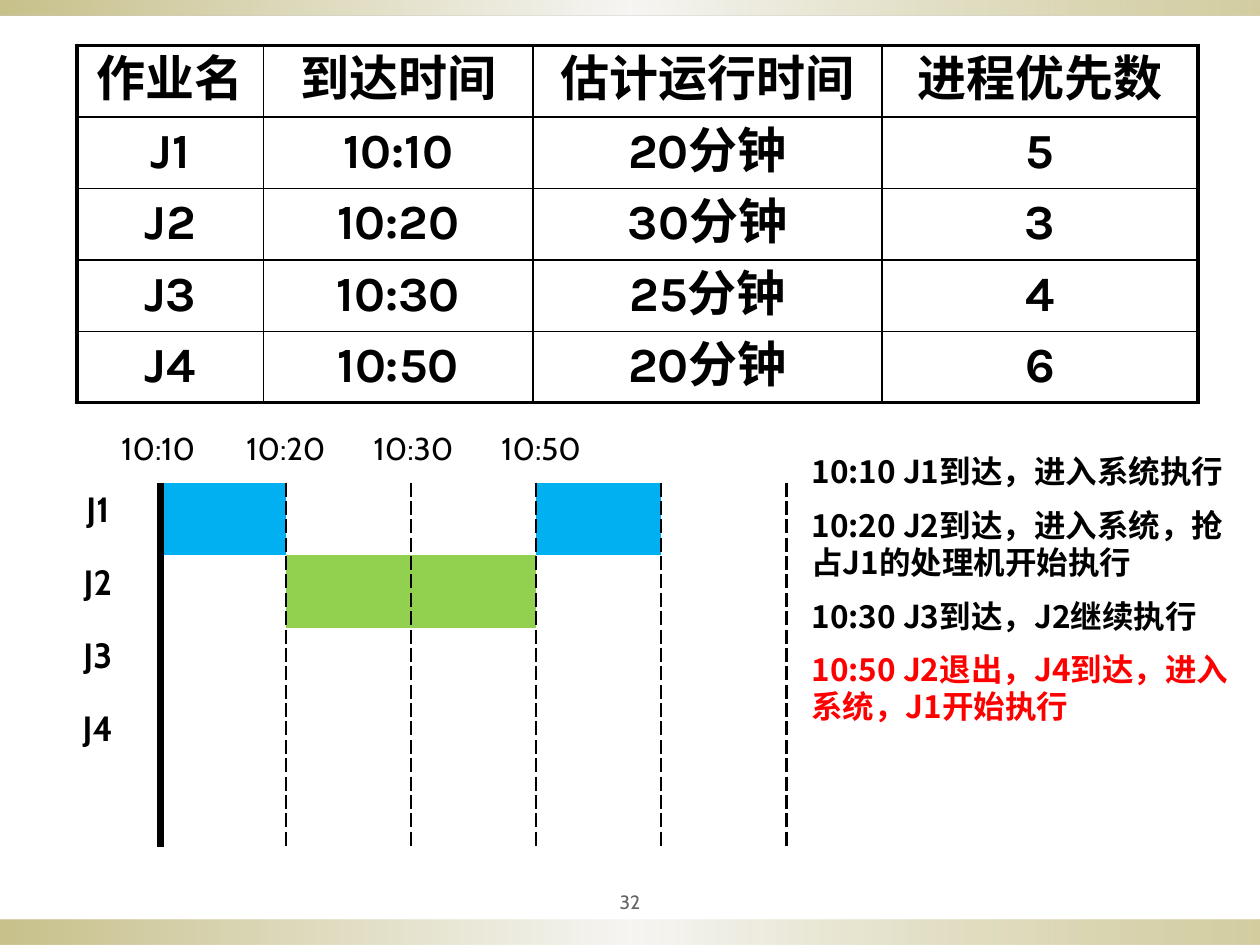
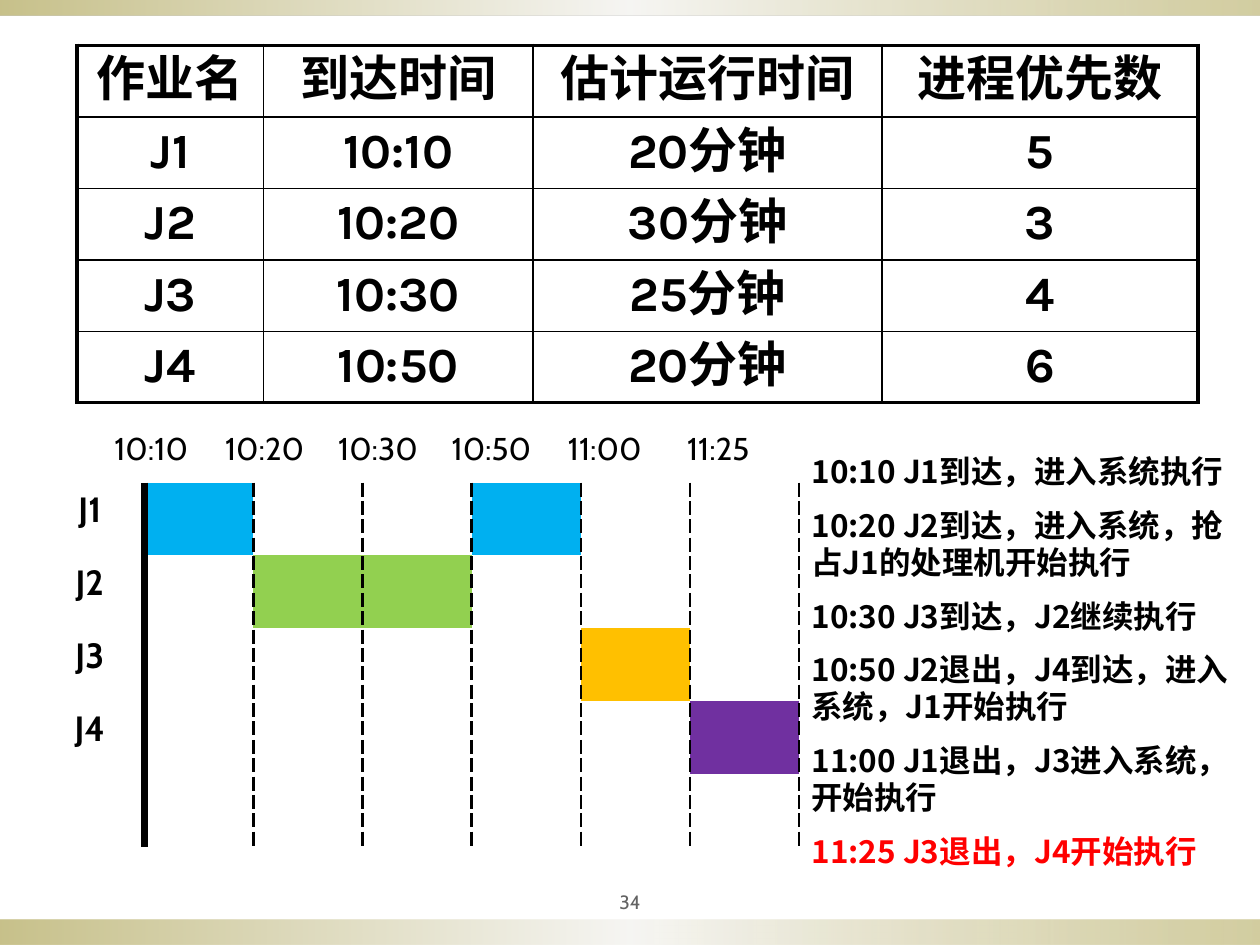
from lxml import etree
from pptx import Presentation
from pptx.dml.color import RGBColor
from pptx.enum.shapes import MSO_SHAPE
from pptx.enum.text import MSO_ANCHOR, PP_ALIGN
from pptx.oxml import parse_xml
from pptx.oxml.ns import nsdecls, qn
from pptx.util import Inches, Pt

BLACK = RGBColor(0x00, 0x00, 0x00)
RED = RGBColor(0xFF, 0x00, 0x00)
GREY = RGBColor(0x63, 0x63, 0x63)
OLIVE = RGBColor(0x91, 0x84, 0x15)
PALE = RGBColor(0xEE, 0xED, 0xE8)
BLUE = RGBColor(0x00, 0xB0, 0xF0)
GREEN = RGBColor(0x92, 0xD0, 0x50)
AMBER = RGBColor(0xFF, 0xC0, 0x00)
PURPLE = RGBColor(0x70, 0x30, 0xA0)

LABEL_FONT, TABLE_FONT, NOTE_FONT = "Cabin", "Karla", "Noto Sans CJK SC"
COLS, ROWS = 100, 75
PLAIN_STYLE = "{2D5ABB26-0587-4C30-8999-92F81FD0307C}"
BAND_STOPS = [(0, OLIVE, 50), (50, PALE, 50), (100, OLIVE, 40)]

JOBS = [
    ["作业名", "到达时间", "估计运行时间", "进程优先数"],
    ["J1", "10:10", "20分钟", "5"],
    ["J2", "10:20", "30分钟", "3"],
    ["J3", "10:30", "25分钟", "4"],
    ["J4", "10:50", "20分钟", "6"],
]
JOB_WIDTHS = [14.8, 21.4, 27.7, 25.1]
NAMES = [row[0] for row in JOBS[1:]]
TIMES = ["10:10", "10:20", "10:30", "10:50", "11:00", "11:25"]
EVENTS = [
    "10:10 J1到达，进入系统执行",
    "10:20 J2到达，进入系统，抢占J1的处理机开始执行",
    "10:30 J3到达，J2继续执行",
    "10:50 J2退出，J4到达，进入系统，J1开始执行",
    "11:00 J1退出，J3进入系统，开始执行",
    "11:25 J3退出，J4开始执行",
]
RUNS = [(0, 1, BLUE), (1, 2, GREEN), (1, 3, GREEN), (0, 4, BLUE),
        (2, 5, AMBER), (3, 6, PURPLE)]


class Deck:
    def __init__(self):
        self.prs = Presentation()
        self.prs.slide_width, self.prs.slide_height = Inches(10), Inches(7.5)
        self.slide = None

    def x(self, cols):
        return int(self.prs.slide_width * cols / COLS)

    def y(self, rows):
        return int(self.prs.slide_height * rows / ROWS)

    def box(self, left, top, width, height):
        return self.x(left), self.y(top), self.x(width), self.y(height)

    def new_slide(self, number):
        self.slide = self.prs.slides.add_slide(self.prs.slide_layouts[1])
        title = self.slide.shapes.title._element
        title.getparent().remove(title)
        self.band(73, 2)
        self.band(0, 1.2)
        self.page_number(number)

    def band(self, top, height):
        sp = self.slide.shapes.add_shape(MSO_SHAPE.RECTANGLE, *self.box(0, top, COLS, height))
        sp.shadow.inherit = False
        sp.line.fill.background()
        sp.fill.gradient()
        sp.fill.gradient_angle = 0
        stops = sp._element.spPr.find(qn("a:gradFill")).find(qn("a:gsLst"))
        for stop in list(stops):
            stops.remove(stop)
        for pos, color, alpha in BAND_STOPS:
            stops.append(parse_xml(
                f'<a:gs {nsdecls("a")} pos="{pos * 1000}"><a:srgbClr val="{color}">'
                f'<a:alpha val="{alpha * 1000}"/></a:srgbClr></a:gs>'))

    def run(self, p, text, font, size, color=BLACK, bold=False):
        r = p.add_run()
        r.text = text
        r.font.name, r.font.size, r.font.bold = font, Pt(size), bold
        r.font.color.rgb = color
        ea = etree.SubElement(r._r.get_or_add_rPr(), qn("a:ea"))
        ea.set("typeface", font)

    def page_number(self, number):
        tf = self.slide.shapes.add_textbox(*self.box(45, 70, 10, 3.1)).text_frame
        tf.word_wrap = True
        tf.vertical_anchor = MSO_ANCHOR.MIDDLE
        tf.margin_left = tf.margin_right = Inches(0.05)
        p = tf.paragraphs[0]
        p.alignment = PP_ALIGN.CENTER
        self.run(p, str(number), LABEL_FONT, 11, GREY)

    def table(self, left, top, widths, row_height, rows):
        frame = self.slide.shapes.add_table(
            rows, len(widths), *self.box(left, top, sum(widths), row_height * rows))
        tbl = frame.table
        tbl.first_row = tbl.horz_banding = False
        tbl._tbl.tblPr.find(qn("a:tableStyleId")).text = PLAIN_STYLE
        for col, width in zip(tbl.columns, widths):
            col.width = self.x(width)
        for row in tbl.rows:
            row.height = self.y(row_height)
        for cell in tbl.iter_cells():
            cell.fill.background()
        return tbl

    def cell_text(self, cell, text, font, size, bold=False):
        p = cell.text_frame.paragraphs[0]
        p.alignment = PP_ALIGN.CENTER
        self.run(p, text, font, size, bold=bold)

    def borders(self, cell, dash="solid", **widths):
        tcPr = cell._tc.get_or_add_tcPr()
        sides = [side for side in "LRTB" if side in widths]
        for i, side in enumerate(sides):
            tcPr.insert(i, parse_xml(
                f'<a:ln{side} {nsdecls("a")} w="{Pt(widths[side])}"><a:solidFill>'
                f'<a:srgbClr val="{BLACK}"/></a:solidFill>'
                f'<a:prstDash val="{dash}"/></a:ln{side}>'))

    def job_table(self):
        tbl = self.table(6.1, 3.6, JOB_WIDTHS, 5.66, len(JOBS))
        last_row, last_col = len(JOBS) - 1, len(JOB_WIDTHS) - 1
        for i, row in enumerate(JOBS):
            for j, text in enumerate(row):
                cell = tbl.cell(i, j)
                self.cell_text(cell, text, TABLE_FONT, 28, True)
                edges = {"L": j == 0, "R": j == last_col, "T": i == 0, "B": i == last_row}
                self.borders(cell, **{k: 2.25 if outer else 1 for k, outer in edges.items()})

    def time_labels(self, width, times):
        tbl = self.table(7.5, 33.6, [width] * 7, 3.9, 1)
        for j, text in enumerate(times):
            self.cell_text(tbl.cell(0, j), text, LABEL_FONT, 18)

    def gantt(self, width, periods):
        tbl = self.table(2.8, 38.3, [width] * 8, 5.78, 5)
        for i, name in enumerate(NAMES):
            self.cell_text(tbl.cell(i, 0), name, LABEL_FONT, 20, True)
        for i in range(5):
            self.borders(tbl.cell(i, 0), R=4.5)
            for j in range(1, periods + 1):
                cell = tbl.cell(i, j)
                self.borders(cell, "sysDash", R=1.5)
                if j == 1:
                    self.borders(cell, L=4.5)
                else:
                    self.borders(cell, "sysDash", L=1.5)
            if periods < 7:
                self.borders(tbl.cell(i, periods + 1), "sysDash", L=1.5)
        for i, j, color in RUNS[:periods]:
            fill = tbl.cell(i, j).fill
            fill.solid()
            fill.fore_color.rgb = color

    def event_list(self, events, height):
        sp = self.slide.placeholders[1]
        sp.left, sp.top, sp.width, sp.height = self.box(63.4, 35.4, 35.4, height)
        tf = sp.text_frame
        tf.word_wrap = True
        tf.vertical_anchor = MSO_ANCHOR.TOP
        for i, text in enumerate(events):
            p = tf.paragraphs[0] if i == 0 else tf.add_paragraph()
            pPr = p._p.get_or_add_pPr()
            pPr.set("marL", "0")
            pPr.set("indent", "0")
            etree.SubElement(pPr, qn("a:buNone"))
            p.line_spacing = Pt(21.5)
            p.space_before = Pt(9 if i else 0)
            color = RED if i == len(events) - 1 else BLACK
            self.run(p, text, NOTE_FONT, 18, color, True)


def main():
    deck = Deck()
    for number, periods, label_width, bar_width, height in [
            (32, 4, 10.13, 9.94, 23.7), (34, 6, 9, 8.66, 35.8)]:
        deck.new_slide(number)
        deck.job_table()
        deck.time_labels(label_width, TIMES[:periods])
        deck.gantt(bar_width, periods)
        deck.event_list(EVENTS[:periods], height)
    deck.prs.save("out.pptx")


if __name__ == "__main__":
    main()
